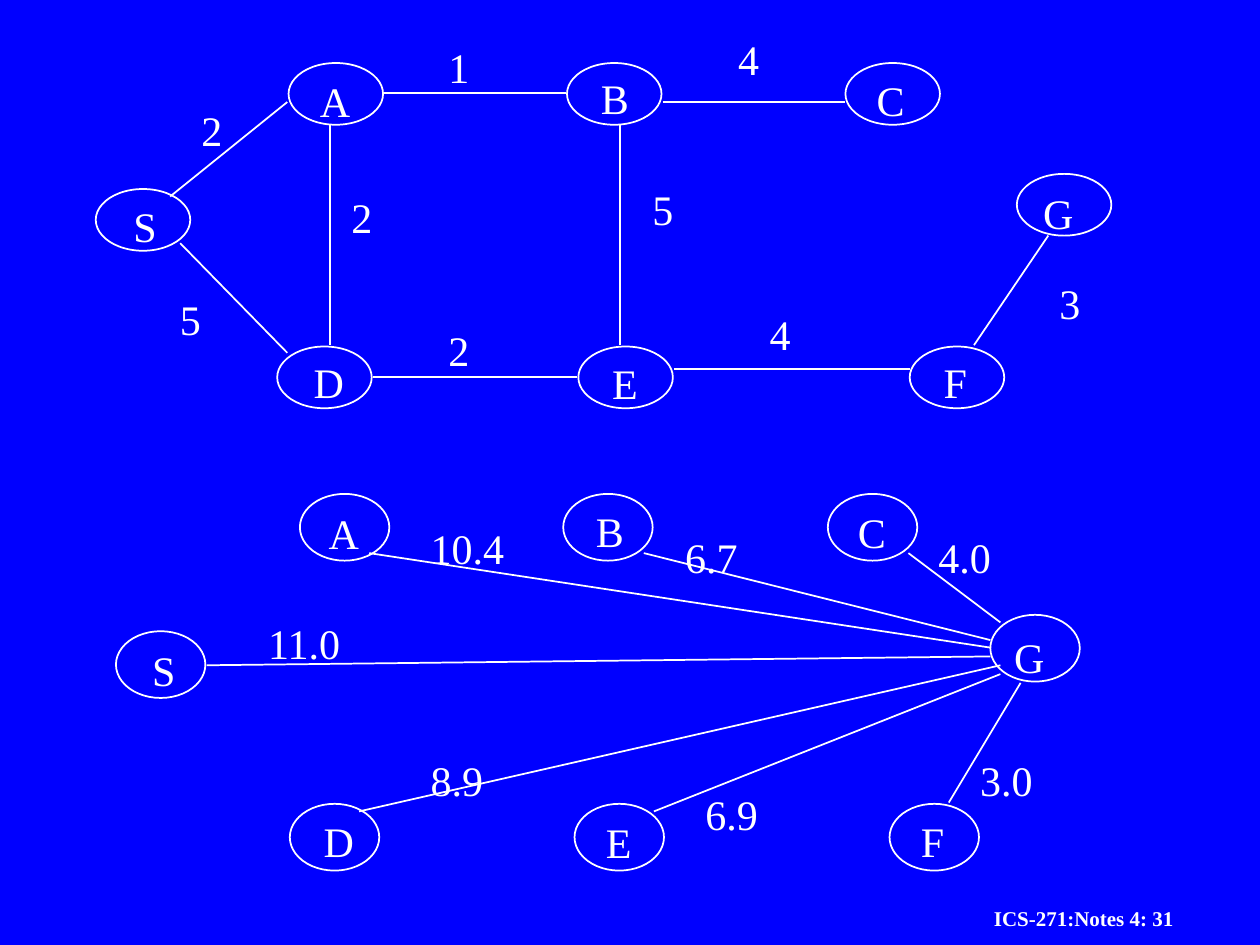
from dataclasses import dataclass

from pptx import Presentation
from pptx import util as u
from pptx.dml.color import RGBColor
from pptx.enum import shapes, text
from pptx.oxml.ns import qn
from lxml import etree


@dataclass(frozen=True)
class Theme:
    background: RGBColor = RGBColor(0x00, 0x00, 0xFF)
    ink: RGBColor = RGBColor(0xFF, 0xFF, 0xFF)
    font: str = "Times New Roman"
    label_size: int = 24
    footer_size: int = 12
    line_width: int = 1


COLUMNS, ROWS = 100, 75
LABEL_HEIGHT = 5

# Glyph widths in ems, used to fit each label's box to its text
GLYPHS = {"A": 0.72, "B": 0.67, "C": 0.67, "D": 0.72, "E": 0.61,
          "F": 0.56, "G": 0.72, "S": 0.56, ".": 0.25}
DIGIT = 0.5


class GraphSlide:
    """Draws on one slide; every length is in grid columns and rows."""

    def __init__(self, deck, theme):
        self.theme = theme
        self.column = deck.slide_width / COLUMNS
        self.row = deck.slide_height / ROWS
        self.slide = deck.slides.add_slide(deck.slide_layouts[6])
        self.canvas = self.slide.shapes
        fill = self.slide.background.fill
        fill.solid()
        fill.fore_color.rgb = theme.background

    def place(self, *lengths):
        """Turn alternating columns and rows into slide units."""
        units = (self.column, self.row) * 2
        return [u.Emu(round(length * unit)) for length, unit in zip(lengths, units)]

    def outline(self, item):
        item.line.color.rgb = self.theme.ink
        item.line.width = u.Pt(self.theme.line_width)

    def ellipse(self, left, top, width, height):
        node = self.canvas.add_shape(
            shapes.MSO_SHAPE.OVAL, *self.place(left, top, width, height))
        node.shadow.inherit = False
        node.fill.background()
        self.outline(node)

    def edge(self, *ends):
        line = self.canvas.add_connector(
            shapes.MSO_CONNECTOR.STRAIGHT, *self.place(*ends))
        self.outline(line)
        etree.SubElement(line._element.spPr, qn("a:effectLst"))

    def text_box(self, words, left, top, width, height, size, bold=False, wrap=False):
        box = self.canvas.add_textbox(*self.place(left, top, width, height))
        frame = box.text_frame
        frame.word_wrap = wrap
        frame.auto_size = text.MSO_AUTO_SIZE.SHAPE_TO_FIT_TEXT
        para = frame.paragraphs[0]
        para.text = words
        para.font.name = self.theme.font
        para.font.size = u.Pt(size)
        para.font.bold = bold
        para.font.color.rgb = self.theme.ink

    def label(self, words, left, top):
        size = self.theme.label_size
        ems = sum(GLYPHS.get(glyph, DIGIT) for glyph in words)
        width = (u.Pt(size) * ems + 2 * u.Inches(0.1)) / self.column
        self.text_box(words, left, top, width, LABEL_HEIGHT, size)

    def footer(self, words, *place):
        self.text_box(words, *place, self.theme.footer_size, bold=True, wrap=True)

    def graph(self, node_size, nodes, edges, grouped=False):
        """Draw the nodes, then each edge with its cost."""
        self.canvas = self.slide.shapes
        if grouped:
            self.canvas = self.canvas.add_group_shape().shapes
        for _, corner, _ in nodes:
            self.ellipse(*corner, *node_size)
        for name, _, label_at in nodes:
            self.label(name, *label_at)
        for _, ends, _ in edges:
            self.edge(*ends)
        for cost, _, label_at in edges:
            self.label(cost, *label_at)
        self.canvas = self.slide.shapes


# Node: name, corner of the ellipse, corner of the label
# Edge: cost, both ends, corner of the label
ROAD_TOP, ROAD_BOTTOM = 5, 27.5
ROAD_NODES = [
    ("S", (7.6, 15), (9.6, 15.4)),
    ("D", (22, ROAD_BOTTOM), (23.9, 27.8)),
    ("E", (45.9, ROAD_BOTTOM), (47.6, 27.9)),
    ("F", (72.2, ROAD_BOTTOM), (73.9, 27.8)),
    ("G", (80.7, 13.8), (81.8, 14.4)),
    ("A", (22.9, ROAD_TOP), (24.4, 5.5)),
    ("B", (45, ROAD_TOP), (46.7, 5.3)),
    ("C", (67.1, ROAD_TOP), (68.6, 5.4)),
]
ROAD_EDGES = [
    ("5", (14.3, 19.3, 22.8, 28), (13.3, 22.8)),
    ("2", (13.5, 15.6, 22.8, 8.1), (15, 7.8)),
    ("2", (26.2, 9.9, 26.2, 27.4), (26.9, 14.7)),
    ("1", (30.5, 7.4, 44.9, 7.4), (34.6, 2.8)),
    ("2", (29.6, 29.9, 45.8, 29.9), (34.6, 25.3)),
    ("4", (52.6, 8.1, 67.1, 8.1), (57.6, 2.2)),
    ("4", (53.5, 29.3, 72.2, 29.3), (60.1, 24)),
    ("3", (77.3, 27.4, 83.2, 18.7), (83.1, 21.5)),
    ("5", (49.2, 9.9, 49.2, 27.4), (50.8, 14.1)),
]

DIRECT_TOP, DIRECT_BOTTOM = 39.2, 63.8
DIRECT_NODES = [
    ("S", (9.2, 50.1), (11.1, 50.7)),
    ("D", (23, DIRECT_BOTTOM), (24.7, 64.2)),
    ("E", (45.6, DIRECT_BOTTOM), (47.1, 64.3)),
    ("F", (70.6, DIRECT_BOTTOM), (72.1, 64.2)),
    ("G", (78.6, 48.8), (79.5, 49.6)),
    ("A", (23.8, DIRECT_TOP), (25.1, 39.8)),
    ("B", (44.7, DIRECT_TOP), (46.3, 39.6)),
    ("C", (65.7, DIRECT_TOP), (67.1, 39.7)),
]
DIRECT_EDGES = [
    ("4.0", (72.1, 43.9, 79.4, 49.4), (73.5, 41.7)),
    ("6.7", (51.1, 43.9, 78.6, 50.8), (53.4, 41.7)),
    ("10.4", (29.3, 43.9, 78.6, 51.4), (33.2, 41)),
    ("11.0", (16.4, 52.8, 78.6, 52.1), (20.3, 48.5)),
    ("8.9", (28.5, 64.4, 79.4, 52.8), (33.2, 59.4)),
    ("6.9", (51.9, 64.4, 79.4, 53.5), (55, 62.1)),
    ("3.0", (75.3, 63.7, 81, 54.2), (76.8, 59.4)),
]


def main():
    deck = Presentation()
    deck.slide_width, deck.slide_height = u.Inches(10), u.Inches(7.5)
    page = GraphSlide(deck, Theme())
    page.footer("ICS-271:Notes 4: 31", 77.9, 71.4, 22.1, 3)
    page.graph((7.1, 5.3), DIRECT_NODES, DIRECT_EDGES, grouped=True)
    page.graph((7.5, 4.9), ROAD_NODES, ROAD_EDGES)
    deck.save("out.pptx")


if __name__ == "__main__":
    main()
